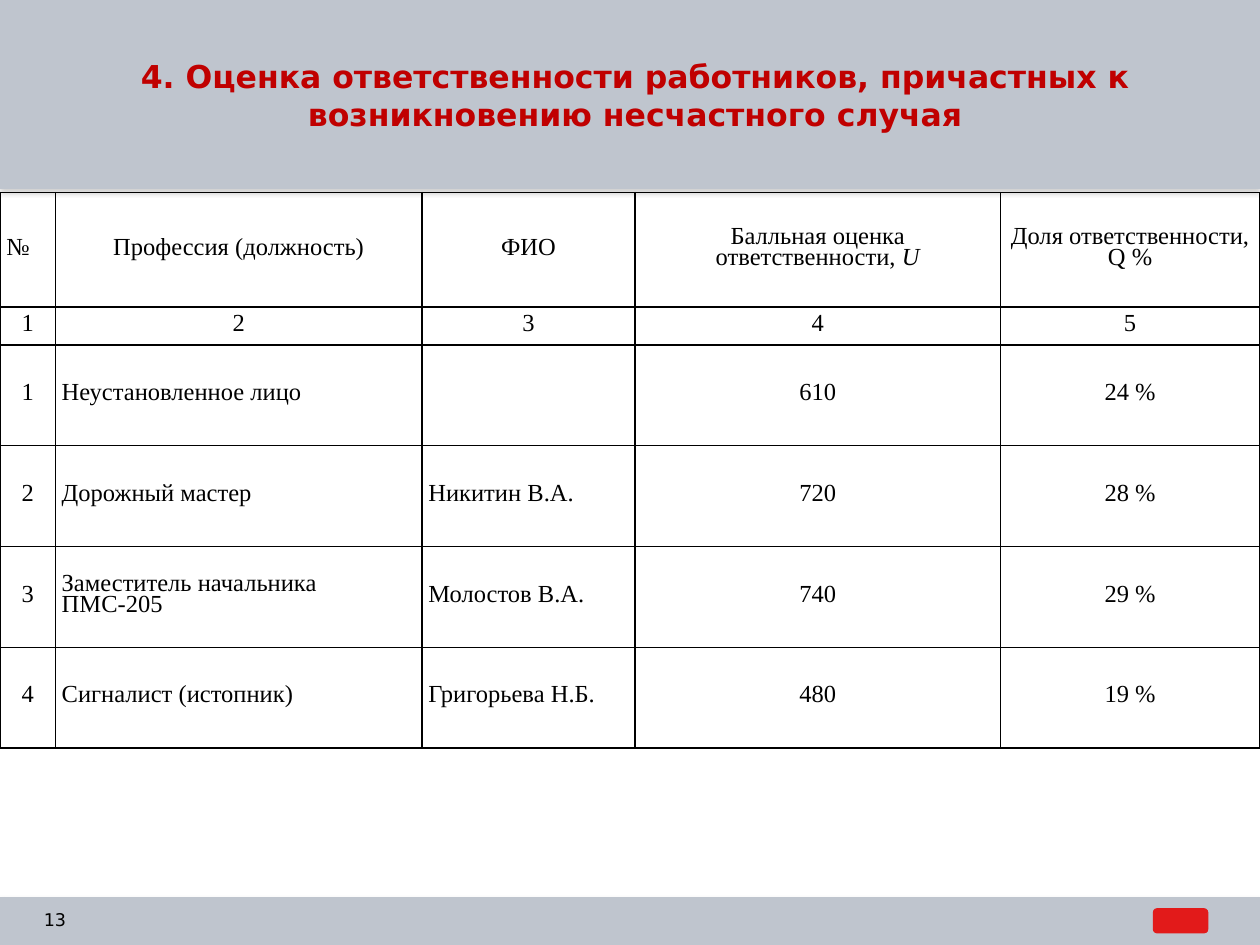
from lxml.etree import SubElement as Sub
from pptx import Presentation
from pptx.dml.color import RGBColor as RGB
from pptx.enum.shapes import MSO_SHAPE as Shape
from pptx.enum.text import MSO_ANCHOR as Anchor, PP_ALIGN as Align
from pptx.oxml import parse_xml
from pptx.oxml.ns import nsdecls, qn
from pptx.util import Pt

SANS = "DejaVu Sans"
SERIF = "Times New Roman"
GREY = "BFC5CE"
RED = "E21A1A"
BLACK = "000000"
COLS = [31.68, 209.52, 121.68, 208.8, 148.32]
ROWS = [65.5, 21.6] + [57.6] * 4
CELLS = [
    ["№", "Профессия (должность)", "ФИО",
     "Балльная оценка ответственности, ", "Доля ответственности, Q %"],
    ["1", "2", "3", "4", "5"],
    ["1", "Неустановленное лицо", "", "610", "24 %"],
    ["2", "Дорожный мастер", "Никитин В.А.", "720", "28 %"],
    ["3", "Заместитель начальника ПМС-205", "Молостов В.А.", "740", "29 %"],
    ["4", "Сигналист (истопник)", "Григорьева Н.Б.", "480", "19 %"],
]


def color(code):
    return RGB.from_string(code)


def style(para, size, face, code, bold=False):
    for run in para.runs:
        font = run.font
        font.size, font.name, font.bold = Pt(size), face, bold
        font.color.rgb = color(code)


def add_box(slide, kind, x, y, w, h, code):
    box = slide.shapes.add_shape(kind, Pt(x), Pt(y), Pt(w), Pt(h))
    box.shadow.inherit = False
    box.fill.solid()
    box.fill.fore_color.rgb = color(code)
    box.line.fill.background()
    return box


def add_band(slide, y, h):
    band = add_box(slide, Shape.RECTANGLE, 0, y, 720, h, GREY)
    glow = parse_xml(
        f'<a:outerShdw {nsdecls("a")} blurRad="{Pt(3.1)}" dist="{Pt(1.8)}" '
        'dir="5400000" rotWithShape="0"><a:srgbClr val="808080">'
        '<a:alpha val="35000"/></a:srgbClr></a:outerShdw>')
    band.element.spPr.find(qn("a:effectLst")).append(glow)


def add_text(slide, x, y, w, h, text, size, code, anchor, align, bold=False, top=0):
    frame = slide.shapes.add_textbox(Pt(x), Pt(y), Pt(w), Pt(h)).text_frame
    frame.word_wrap = True
    frame.vertical_anchor = anchor
    frame.margin_left = frame.margin_right = frame.margin_bottom = 0
    frame.margin_top = Pt(top)
    frame.text = text
    para = frame.paragraphs[0]
    para.alignment = align
    style(para, size, SANS, code, bold)


def add_edges(cell):
    props = cell._tc.get_or_add_tcPr()
    for i, side in enumerate(["lnL", "lnR", "lnT", "lnB"]):
        line = Sub(props, qn("a:" + side), w=str(Pt(1)))
        Sub(Sub(line, qn("a:solidFill")), qn("a:srgbClr"), val=BLACK)
        props.insert(i, line)


def fill_cell(cell, text, align, tail=""):
    cell.fill.background()
    cell.vertical_anchor = Anchor.MIDDLE
    cell.margin_left = cell.margin_right = Pt(3.6)
    cell.margin_top = cell.margin_bottom = 0
    add_edges(cell)
    cell.text_frame.text = text
    para = cell.text_frame.paragraphs[0]
    para.alignment = align
    para.line_spacing = Pt(12)
    if tail:
        run = para.add_run()
        run.text = tail
        run.font.italic = True
    style(para, 14, SERIF, BLACK)


def add_grid(slide):
    grid = slide.shapes.add_table(
        len(ROWS), len(COLS), 0, Pt(110), Pt(720), Pt(sum(ROWS))).table
    grid.first_row = grid.horz_banding = False
    for col, width in zip(grid.columns, COLS):
        col.width = Pt(width)
    for row, height in zip(grid.rows, ROWS):
        row.height = Pt(height)
    for r, line in enumerate(CELLS):
        for c, text in enumerate(line):
            left = (r, c) == (0, 0) or (r > 1 and c in (1, 2))
            tail = "U" if (r, c) == (0, 3) else ""
            fill_cell(grid.cell(r, c), text,
                      Align.LEFT if left else Align.CENTER, tail)


def main():
    deck = Presentation()
    deck.slide_width, deck.slide_height = Pt(720), Pt(540)
    slide = deck.slides.add_slide(deck.slide_layouts[6])
    add_band(slide, 0, 108)
    add_band(slide, 512.6, 27.4)
    add_box(slide, Shape.ROUNDED_RECTANGLE, 658.8, 519, 31.7, 14.4, RED)
    add_text(slide, 25, 511.2, 27.4, 28.8, "13", 10, BLACK,
             Anchor.MIDDLE, Align.LEFT)
    add_text(slide, 20, 10.8, 686, 90,
             "4. Оценка ответственности работников, причастных к "
             "возникновению несчастного случая",
             18, "C00000", Anchor.TOP, Align.CENTER, True, 22)
    add_grid(slide)
    deck.save("out.pptx")


if __name__ == "__main__":
    main()
